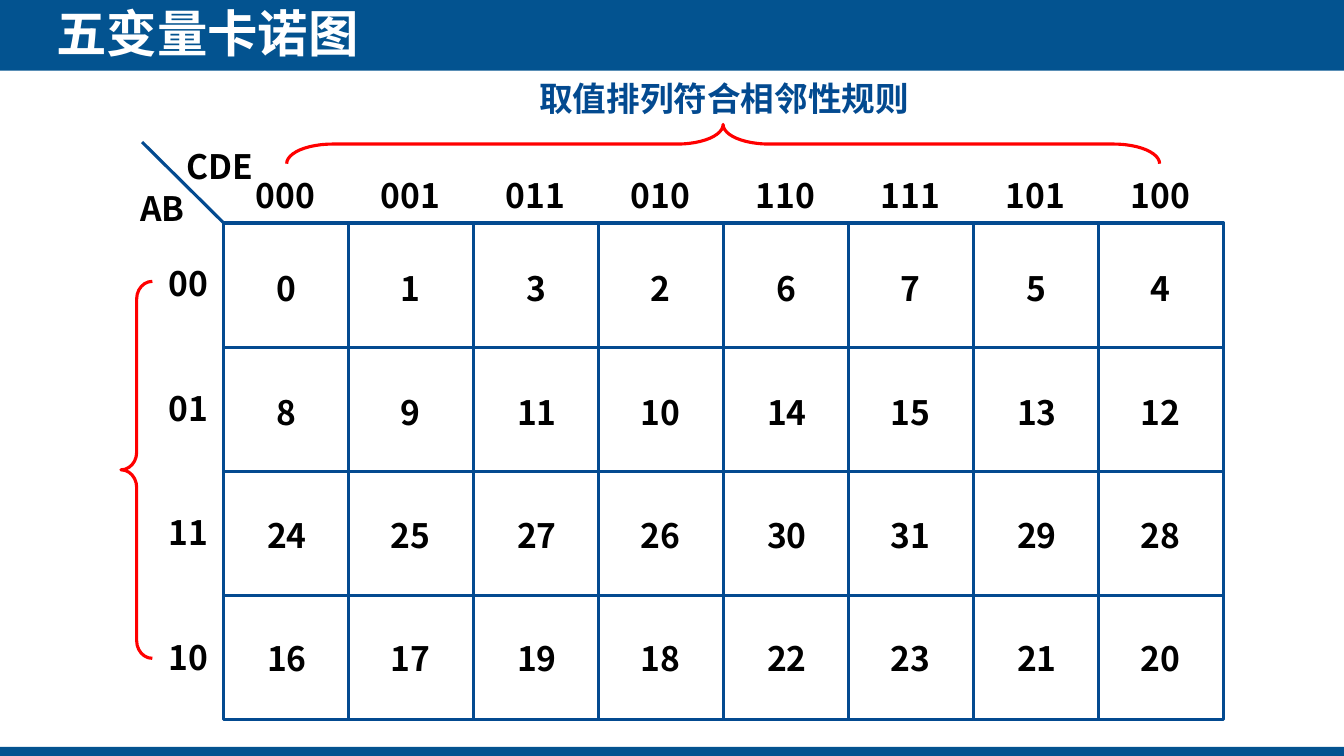
from dataclasses import dataclass
from lxml.etree import SubElement as Sub
from pptx import Presentation as Deck
from pptx.dml.color import RGBColor as Rgb
from pptx.enum.shapes import MSO_CONNECTOR as Wire, MSO_SHAPE as Kind
from pptx.enum.text import MSO_ANCHOR as Anchor, MSO_AUTO_SIZE as Fit, PP_ALIGN as Align
from pptx.oxml.ns import qn
from pptx.util import Cm, Pt


@dataclass(frozen=True)
class Theme:
    """Colours, type sizes and line width of the slide."""
    band: Rgb = Rgb(0x03, 0x53, 0x90)
    grid: Rgb = Rgb(0x03, 0x4A, 0x90)
    brace: Rgb = Rgb(0xFF, 0x00, 0x00)
    ink: Rgb = Rgb(0x00, 0x00, 0x00)
    white: Rgb = Rgb(0xFF, 0xFF, 0xFF)
    font: str = "Noto Sans CJK SC"
    head: Pt = Pt(36)
    body: Pt = Pt(24)
    rule: Pt = Pt(2.25)


def put(item, **vals):
    """Set each named attribute on the item."""
    for name, val in vals.items():
        setattr(item, name, val)


class Board:
    """Draws styled elements on the current slide."""

    def __init__(self, slide, theme):
        self.items = slide.shapes
        self.theme = theme

    def shape(self, kind, box, fill=None, line=None, turn=0, bends=()):
        """Add a preset shape with an optional fill and outline."""
        item = self.items.add_shape(kind, *map(Cm, box))
        put(item, rotation=turn)
        item.shadow.inherit = False
        for spot, bend in enumerate(bends):
            item.adjustments[spot] = bend
        if fill is None:
            item.fill.background()
        else:
            item.fill.solid()
            item.fill.fore_color.rgb = fill
        if line is None:
            item.line.fill.background()
        else:
            item.line.color.rgb = line
            item.line.width = self.theme.rule
        return item

    def line(self, ends=(0, 0, 0, 0), start=None, stop=None):
        """Add a grid line, joined to shapes where sites are given."""
        item = self.items.add_connector(Wire.STRAIGHT, *map(Cm, ends))
        item.line.color.rgb = self.theme.grid
        item.line.width = self.theme.rule
        Sub(item._element.spPr, qn("a:effectLst"))
        if start:
            item.begin_connect(*start)
        if stop:
            item.end_connect(*stop)

    def text(self, words, box, ink=None, size=None, align=Align.CENTER, **frame):
        """Add a bold text box."""
        item = self.items.add_textbox(*map(Cm, box))
        put(item.text_frame, word_wrap=True, auto_size=Fit.SHAPE_TO_FIT_TEXT, **frame)
        para = item.text_frame.paragraphs[0]
        para.alignment = align
        run = para.add_run()
        run.text = words
        put(run.font, name=self.theme.font, size=size or self.theme.body, bold=True)
        run.font.color.rgb = ink or self.theme.ink
        face = Sub(run.font._element, qn("a:ea"))
        face.set("typeface", self.theme.font)


def main():
    """Build the five-variable Karnaugh map slide."""
    deck = Deck()
    put(deck, slide_width=Cm(33.87), slide_height=Cm(19.05))
    theme = Theme()
    board = Board(deck.slides.add_slide(deck.slide_layouts[6]), theme)

    for top, high in ((0, 1.78), (18.82, 0.23)):
        board.shape(Kind.RECTANGLE, (0, top, 33.87, high), fill=theme.band)
    board.text("五变量卡诺图", (1.42, 0.05, 21.77, 1.55), theme.white, theme.head,
               Align.LEFT, vertical_anchor=Anchor.MIDDLE, margin_left=0,
               margin_top=0, margin_right=0, margin_bottom=0)

    left, top, wide, high = 5.64, 5.62, 6.3, 6.26
    blocks = [[board.shape(Kind.RECTANGLE,
                           (left + col * wide, top + row * high, wide, high),
                           line=theme.grid)
               for col in range(4)] for row in range(2)]
    for row in blocks:
        for first, last in (row[:2], row[2:]):
            board.line(start=(first, 1), stop=(last, 3))
    for upper, lower in zip(*blocks):
        board.line(start=(upper, 0), stop=(lower, 2))
    board.line((3.58, 3.58, left, top))

    board.text("AB", (3.07, 4.6, 2.06, 1.27))
    board.text("CDE", (4.34, 3.56, 2.41, 1.27))
    rows = "00 01 11 10".split()
    cols = "000 001 011 010 110 111 101 100".split()
    for spot, code in enumerate(cols):
        board.text(code, (5.99 + spot * 3.15, 4.29, 2.41, 1.27))
    for down, ab in enumerate(rows):
        board.text(ab, (3.89, 6.5 + down * 3.14, 1.73, 1.27))
        for spot, cde in enumerate(cols):
            pair, odd = divmod(spot, 2)
            board.text(str(int(ab + cde, 2)),
                       (6.2 + pair * wide + odd * 3.12, 6.63 + down * 3.11, 2.06, 1.27))

    board.shape(Kind.RIGHT_BRACE, (17.73, -7.37, 0.99, 22), line=theme.brace,
                turn=270, bends=(1.17, 0.5))
    board.text("取值排列符合相邻性规则", (9.78, 1.85, 16.94, 1.27), theme.grid)
    board.shape(Kind.LEFT_BRACE, (3.05, 7.09, 0.79, 9.5), line=theme.brace,
                bends=(0.56, 0.5))
    deck.save("out.pptx")


if __name__ == "__main__":
    main()
